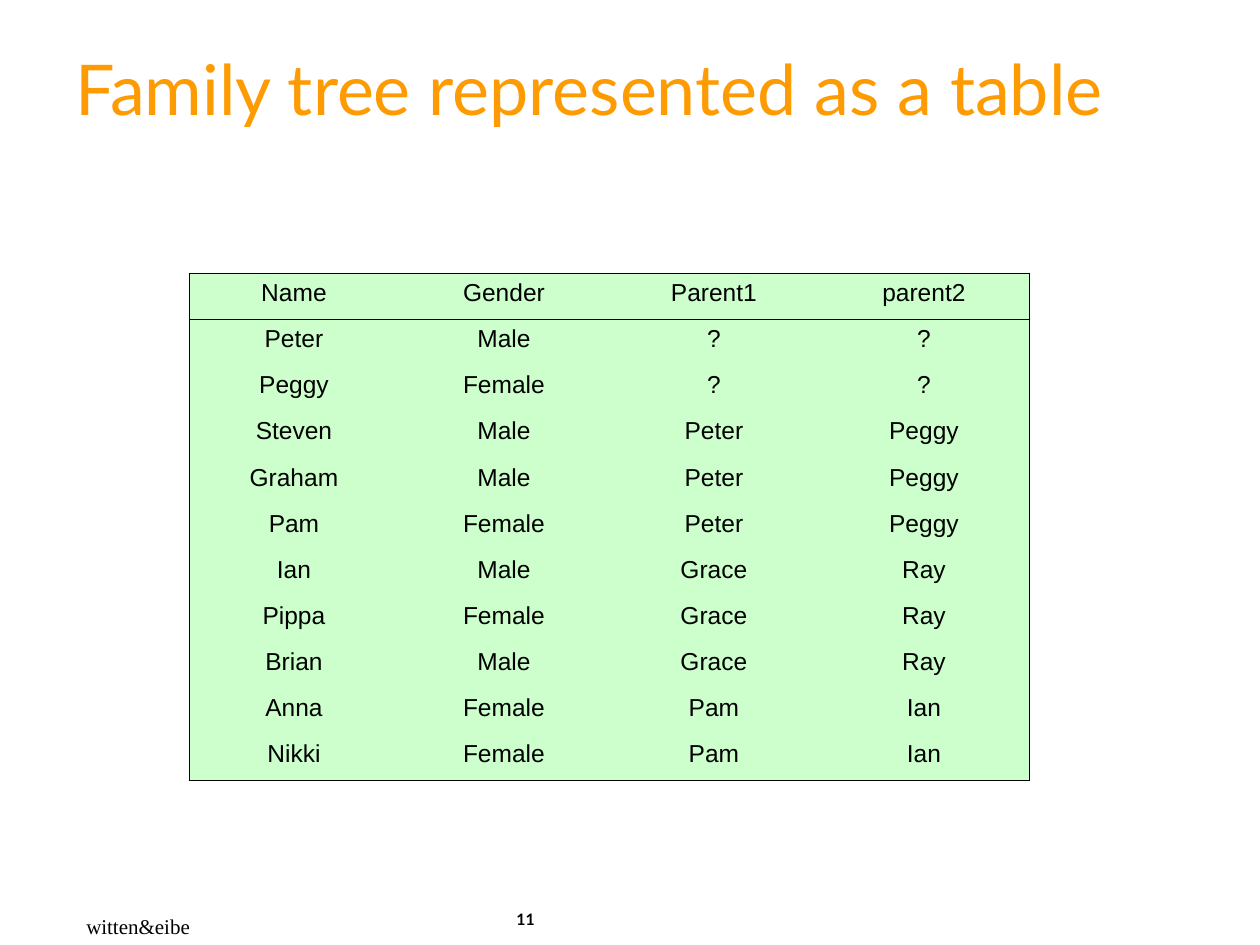
from dataclasses import dataclass

from lxml import etree
from pptx import Presentation
from pptx.dml.color import RGBColor
from pptx.enum import text as t
from pptx.oxml import ns
from pptx.util import Pt


@dataclass(frozen=True)
class Theme:
    """Colours, fonts and sizes of the slide."""
    accent: str = "FE9B03"
    ink: str = "000000"
    cell: str = "CCFFCC"
    head: str = "Lato"
    body: str = "Arial"
    serif: str = "Times New Roman"
    title: float = 40
    table: float = 14
    foot: float = 12
    page: float = 9
    rule: float = 0.45


THEME = Theme()
ROWS = [
    ("Name", "Gender", "Parent1", "parent2"),
    ("Peter", "Male", "?", "?"),
    ("Peggy", "Female", "?", "?"),
    ("Steven", "Male", "Peter", "Peggy"),
    ("Graham", "Male", "Peter", "Peggy"),
    ("Pam", "Female", "Peter", "Peggy"),
    ("Ian", "Male", "Grace", "Ray"),
    ("Pippa", "Female", "Grace", "Ray"),
    ("Brian", "Male", "Grace", "Ray"),
    ("Anna", "Female", "Pam", "Ian"),
    ("Nikki", "Female", "Pam", "Ian"),
]


def style(para, name, size, color, bold=False, align=t.PP_ALIGN.LEFT):
    """Set the font and alignment of a paragraph."""
    para.alignment = align
    font = para.font
    font.name, font.size, font.bold = name, Pt(size), bold
    font.color.rgb = RGBColor.from_string(color)


def edge(cell, sides):
    """Rule the named sides of a cell and clear the others."""
    props = cell._tc.get_or_add_tcPr()
    for i, side in enumerate("LRTB"):
        line = etree.Element(ns.qn(f"a:ln{side}"), w=str(int(Pt(THEME.rule))))
        if side in sides:
            fill = etree.SubElement(line, ns.qn("a:solidFill"))
            etree.SubElement(fill, ns.qn("a:srgbClr"), val=THEME.ink)
        else:
            etree.SubElement(line, ns.qn("a:noFill"))
        props.insert(i, line)


def add_title(slide, box, words):
    """Place the slide title in its box."""
    title = slide.shapes.title
    title.left, title.top, title.width, title.height = map(Pt, box)
    frame = title.text_frame
    frame.text = words
    frame.auto_size = t.MSO_AUTO_SIZE.NONE
    frame.vertical_anchor = t.MSO_ANCHOR.MIDDLE
    para = frame.paragraphs[0]
    para.line_spacing = 0.85
    style(para, THEME.head, THEME.title, THEME.accent)


def add_family(slide, box, rows):
    """Fill the box with an evenly spaced table, ruled outside and under its head."""
    x, y, w, h = box
    last, end = len(rows) - 1, len(rows[0]) - 1
    table = slide.shapes.add_table(last + 1, end + 1, *map(Pt, box)).table
    table.first_row = table.horz_banding = False
    for col in table.columns:
        col.width = Pt(w / (end + 1))
    for r, row in enumerate(rows):
        table.rows[r].height = Pt(h / (last + 1))
        for c, word in enumerate(row):
            cell = table.cell(r, c)
            cell.text = word
            cell.fill.solid()
            cell.fill.fore_color.rgb = RGBColor.from_string(THEME.cell)
            style(cell.text_frame.paragraphs[0], THEME.body, THEME.table,
                  THEME.ink, align=t.PP_ALIGN.CENTER)
            rules = {"L": c == 0, "R": c == end, "T": r in (0, 1), "B": r in (0, last)}
            edge(cell, [side for side, on in rules.items() if on])


def add_note(slide, box, words, name, size, bold=False, grow=False):
    """Place a small line of footer text in its box, which may grow to fit."""
    frame = slide.shapes.add_textbox(*map(Pt, box)).text_frame
    frame.word_wrap = not grow
    if grow:
        frame.auto_size = t.MSO_AUTO_SIZE.SHAPE_TO_FIT_TEXT
    frame.text = words
    style(frame.paragraphs[0], name, size, THEME.ink, bold)


def main():
    """Build and save the slide."""
    deck = Presentation()
    deck.slide_width, deck.slide_height = Pt(720), Pt(540)
    slide = deck.slides.add_slide(deck.slide_layouts[5])
    add_title(slide, (36, 18, 654, 72), "Family tree represented as a table")
    add_family(slide, (108, 156, 480, 290.2), ROWS)
    add_note(slide, (42.2, 518.4, 76, 21.6), "witten&eibe",
             THEME.serif, THEME.foot, grow=True)
    add_note(slide, (288, 516.4, 73.4, 23.6), "11", THEME.head, THEME.page, bold=True)
    deck.save("out.pptx")


if __name__ == "__main__":
    main()
